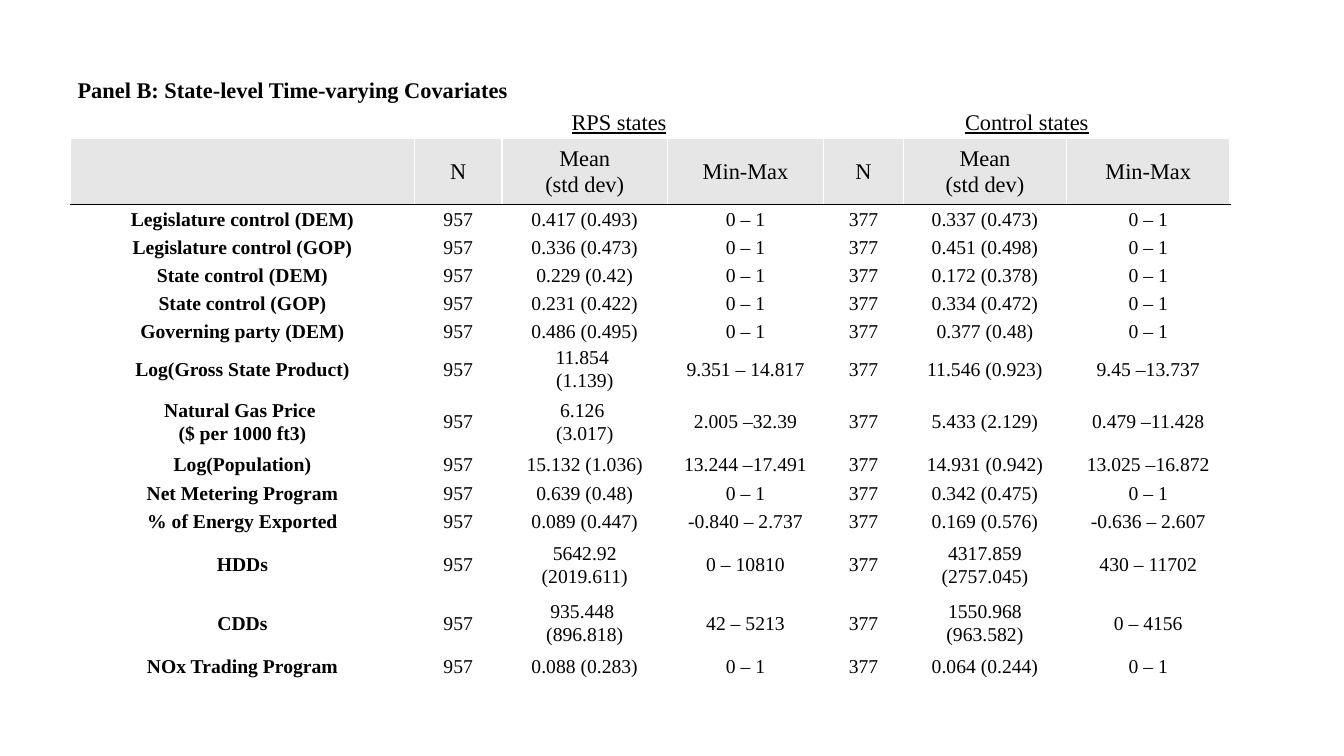
from pptx import Presentation
from pptx.dml.color import RGBColor
from pptx.enum.text import MSO_ANCHOR, PP_ALIGN
from pptx.oxml.ns import qn
from pptx.util import Inches, Pt
from lxml import etree

MIDDLE = MSO_ANCHOR.MIDDLE
LEFT, CENTER = PP_ALIGN.LEFT, PP_ALIGN.CENTER
WHITE, BLACK, HEADER_GREY = "FFFFFF", "000000", "E7E6E6"

COLUMN_WIDTHS = [3.41, 0.87, 1.64, 1.55, 0.79, 1.62, 1.62]
TITLE_HEIGHT, HEADER_HEIGHT, LINE_HEIGHT, TALL_HEIGHT = 0.32, 0.66, 0.28, 0.58
TALL_COVARIATES = ("Natural Gas Price \n($ per 1000 ft3)", "HDDs", "CDDs")
RPS_N, CONTROL_N = "957", "377"

PANEL_TITLE = "Panel B: State-level Time-varying Covariates"
STATISTICS = ["N", "Mean\n(std dev)", "Min-Max"]

# Covariate, then mean (std dev) and range for RPS and for control states
COVARIATES = [
    ("Legislature control (DEM)", "0.417 (0.493)", "0 – 1", "0.337 (0.473)", "0 – 1"),
    ("Legislature control (GOP)", "0.336 (0.473)", "0 – 1", "0.451 (0.498)", "0 – 1"),
    ("State control (DEM)", "0.229 (0.42)", "0 – 1", "0.172 (0.378)", "0 – 1"),
    ("State control (GOP)", "0.231 (0.422)", "0 – 1", "0.334 (0.472)", "0 – 1"),
    ("Governing party (DEM)", "0.486 (0.495)", "0 – 1", "0.377 (0.48)", "0 – 1"),
    ("Log(Gross State Product)", "11.854 \n(1.139)", "9.351 – 14.817",
     "11.546 (0.923)", "9.45 –13.737"),
    (TALL_COVARIATES[0], "6.126 \n(3.017)", "2.005 –32.39",
     "5.433 (2.129)", "0.479 –11.428"),
    ("Log(Population)", "15.132 (1.036)", "13.244 –17.491",
     "14.931 (0.942)", "13.025 –16.872"),
    ("Net Metering Program", "0.639 (0.48)", "0 – 1", "0.342 (0.475)", "0 – 1"),
    ("% of Energy Exported", "0.089 (0.447)", "-0.840 – 2.737",
     "0.169 (0.576)", "-0.636 – 2.607"),
    ("HDDs", "5642.92 (2019.611)", "0 – 10810", "4317.859 (2757.045)", "430 – 11702"),
    ("CDDs", "935.448 \n(896.818)", "42 – 5213", "1550.968 (963.582)", "0 – 4156"),
    ("NOx Trading Program", "0.088 (0.283)", "0 – 1", "0.064 (0.244)", "0 – 1"),
]


def rgb(hex_colour):
    return RGBColor.from_string(hex_colour)


class CovariateSlide:
    font = "Times New Roman"
    line_spacing = 1.07
    side_margin = Inches(0.07)

    def __init__(self, presentation):
        self.slide = presentation.slides.add_slide(presentation.slide_layouts[6])

    def table(self, left, top, widths, heights):
        frame = self.slide.shapes.add_table(
            len(heights), len(widths), Inches(left), Inches(top),
            Inches(sum(widths)), Inches(sum(heights)))
        grid = frame.table
        grid.first_row = grid.horz_banding = False
        for column, width in zip(grid.columns, widths):
            column.width = Inches(width)
        for row, height in zip(grid.rows, heights):
            row.height = Inches(height)
        return grid

    def borders(self, cell, top=(WHITE, 1), bottom=(WHITE, 1)):
        properties = cell._tc.get_or_add_tcPr()
        sides = {"a:lnL": (WHITE, 1), "a:lnR": (WHITE, 1), "a:lnT": top, "a:lnB": bottom}
        for tag, (colour, points) in sides.items():
            line = etree.SubElement(properties, qn(tag), w=str(Pt(points)))
            solid = etree.SubElement(line, qn("a:solidFill"))
            etree.SubElement(solid, qn("a:srgbClr"), val=colour)

    def fill(self, cell, colour=None):
        if colour:
            cell.fill.solid()
            cell.fill.fore_color.rgb = rgb(colour)
        else:
            cell.fill.background()

    def text(self, cell, wording, size, bold=False, underline=False, align=CENTER):
        cell.margin_left = cell.margin_right = self.side_margin
        cell.margin_top = cell.margin_bottom = 0
        cell.vertical_anchor = MIDDLE
        if not wording:
            return
        cell.text_frame.text = wording
        for paragraph in cell.text_frame.paragraphs:
            paragraph.alignment = align
            paragraph.line_spacing = self.line_spacing
            for run in paragraph.runs:
                run.font.name = self.font
                run.font.size = Pt(size)
                run.font.bold = bold
                run.font.underline = underline
                run.font.color.rgb = rgb(BLACK)


def main():
    presentation = Presentation()
    presentation.slide_width = Inches(13.33)
    presentation.slide_height = Inches(7.5)
    page = CovariateSlide(presentation)

    # Rows of wording: title, state groups, statistics, covariates
    rows = [
        [PANEL_TITLE] + [""] * 6,
        ["", "RPS states", "", "", "Control states", "", ""],
        [""] + STATISTICS * 2,
    ]
    rows += [[name, RPS_N, rps_mean, rps_range, CONTROL_N, control_mean, control_range]
             for name, rps_mean, rps_range, control_mean, control_range in COVARIATES]
    heights = [TITLE_HEIGHT, TITLE_HEIGHT, HEADER_HEIGHT]
    heights += [TALL_HEIGHT if covariate[0] in TALL_COVARIATES else LINE_HEIGHT
                for covariate in COVARIATES]

    grid = page.table(0.7, 0.73, COLUMN_WIDTHS, heights)

    # Merged title and state groups
    grid.cell(0, 0).merge(grid.cell(0, 6))
    for first in (1, 4):
        grid.cell(1, first).merge(grid.cell(1, first + 2))

    # Cell styling by row role
    top_edges = {1: (WHITE, 3), 3: (BLACK, 1)}
    bottom_edges = {0: (WHITE, 3), 2: (BLACK, 1)}
    for r, row in enumerate(rows):
        for c, wording in enumerate(row):
            cell = grid.cell(r, c)
            page.borders(cell, top_edges.get(r, (WHITE, 1)), bottom_edges.get(r, (WHITE, 1)))
            page.fill(cell, HEADER_GREY if r == 2 else None)
            page.text(cell, wording, size=16 if r < 3 else 14, bold=c == 0,
                      underline=r == 1, align=LEFT if r == 0 else CENTER)

    presentation.save("out.pptx")


if __name__ == "__main__":
    main()
